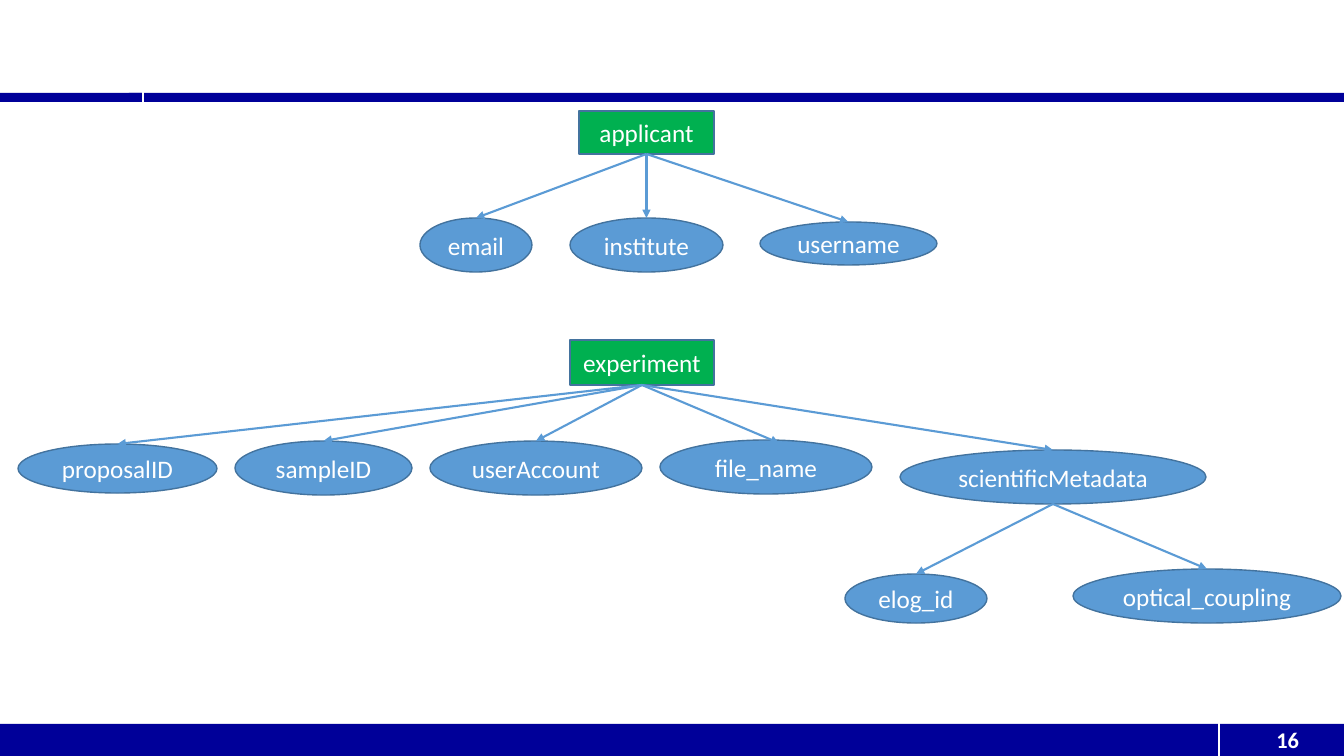
from lxml import etree
from pptx import Presentation
from pptx.dml.color import RGBColor
from pptx.enum.shapes import MSO_CONNECTOR, MSO_SHAPE
from pptx.enum.text import MSO_ANCHOR, PP_ALIGN
from pptx.oxml.ns import qn
from pptx.util import Pt

RECT, OVAL = MSO_SHAPE.RECTANGLE, MSO_SHAPE.OVAL
STRAIGHT = MSO_CONNECTOR.STRAIGHT
MIDDLE = MSO_ANCHOR.MIDDLE
CENTER, RIGHT = PP_ALIGN.CENTER, PP_ALIGN.RIGHT
EMU_PER_PIXEL = 914400 / 100.8
TOP_SITE, BOTTOM_SITE = 0, 2
FONT = "Calibri"
COLORS = {
    "navy": "000099",
    "entity": "00B050",
    "attribute": "5B9BD5",
    "outline": "43739E",
    "white": "FFFFFF",
}

# name: left, top, width, height
ENTITIES = {
    "applicant": (579, 111, 135, 43),
    "experiment": (570, 340, 144, 45),
}
ATTRIBUTES = {
    "email": (420, 218, 112, 54),
    "institute": (570, 218, 153, 54),
    "username": (760, 222, 177, 43),
    "proposalID": (18, 444, 199, 49),
    "sampleID": (235, 441, 177, 54),
    "userAccount": (430, 441, 212, 54),
    "file_name": (660, 440, 212, 54),
    "scientificMetadata": (900, 450, 306, 54),
    "elog_id": (845, 574, 142, 49),
    "optical_coupling": (1073, 569, 268, 54),
}
CHILDREN = {
    "applicant": ["email", "institute", "username"],
    "experiment": ["proposalID", "sampleID", "userAccount", "file_name",
                   "scientificMetadata"],
    "scientificMetadata": ["elog_id", "optical_coupling"],
}
# Arrow tips that do not sit on the top middle of their attribute
FREE_TIPS = {"file_name": (779, 443)}

BANDS = [
    (RECT, (129, 93, 1215, 9)),
    (MSO_SHAPE.RIGHT_TRIANGLE, (143, 93, 20, 9)),
    (RECT, (0, 93, 143, 9)),
    (RECT, (0, 724, 1344, 32)),
]
DIVIDERS = [(143, 102, 143, 91), (1219, 710, 1219, 756)]
PAGE_NUMBER = ("16", (1254, 724, 55, 32))


def px(*pixels):
    """Turn pixels into a list of EMU lengths."""
    return [round(value * EMU_PER_PIXEL) for value in pixels]


def rgb(name):
    """Look up a named colour."""
    return RGBColor.from_string(COLORS[name])


def add_block(slide, kind, box, fill, outline=None):
    """Add a filled shape with an optional thin outline."""
    block = slide.shapes.add_shape(kind, *px(*box))
    block.shadow.inherit = False
    block.fill.solid()
    block.fill.fore_color.rgb = rgb(fill)
    if outline:
        block.line.color.rgb = rgb(outline)
        block.line.width = Pt(1)
    else:
        block.line.fill.background()
    return block


def write(holder, wording, size, align, bold=False):
    """Put one white line of text into a shape or text box."""
    frame = holder.text_frame
    frame.text = wording
    frame.word_wrap = False
    frame.vertical_anchor = MIDDLE
    paragraph = frame.paragraphs[0]
    paragraph.alignment = align
    font = paragraph.runs[0].font
    font.name, font.size, font.bold = FONT, Pt(size), bold
    font.color.rgb = rgb("white")


def add_line(slide, ends, color):
    """Add a straight line without a shadow."""
    line = slide.shapes.add_connector(STRAIGHT, *px(*ends))
    line.line.color.rgb = rgb(color)
    line.line.width = Pt(1.5)
    etree.SubElement(line._element.spPr, qn("a:effectLst"))
    return line


def add_arrow(slide, nodes, parent, child):
    """Point from the bottom of a parent to the top of its child."""
    boxes = ENTITIES | ATTRIBUTES
    left, top, width, height = boxes[parent]
    child_left, child_top, child_width, _ = boxes[child]
    tip = FREE_TIPS.get(child, (child_left + child_width / 2, child_top))
    arrow = add_line(slide, (left + width / 2, top + height, *tip), "attribute")
    if parent in ENTITIES:
        arrow.begin_connect(nodes[parent], BOTTOM_SITE)
    if child not in FREE_TIPS:
        arrow.end_connect(nodes[child], TOP_SITE)
    outline = arrow.line._get_or_add_ln()
    etree.SubElement(outline, qn("a:tailEnd"), type="triangle")


def add_frame(slide):
    """Draw the header and footer bands with the page number."""
    for kind, box in BANDS:
        add_block(slide, kind, box, "navy")
    for ends in DIVIDERS:
        add_line(slide, ends, "white")
    wording, box = PAGE_NUMBER
    number = slide.shapes.add_textbox(*px(*box))
    write(number, wording, 16, RIGHT, bold=True)
    number.text_frame.word_wrap = True


def add_diagram(slide):
    """Draw the entities, their attributes and the arrows between them."""
    nodes = {}
    for kind, fill, boxes in ((RECT, "entity", ENTITIES),
                              (OVAL, "attribute", ATTRIBUTES)):
        for name, box in boxes.items():
            nodes[name] = add_block(slide, kind, box, fill, "outline")
            write(nodes[name], name, 18, CENTER)
    for parent, children in CHILDREN.items():
        for child in children:
            add_arrow(slide, nodes, parent, child)


deck = Presentation()
deck.slide_width, deck.slide_height = px(1344, 756)
blank_layout = deck.slide_layouts[6]
schema_slide = deck.slides.add_slide(blank_layout)
add_frame(schema_slide)
add_diagram(schema_slide)
deck.save("out.pptx")
